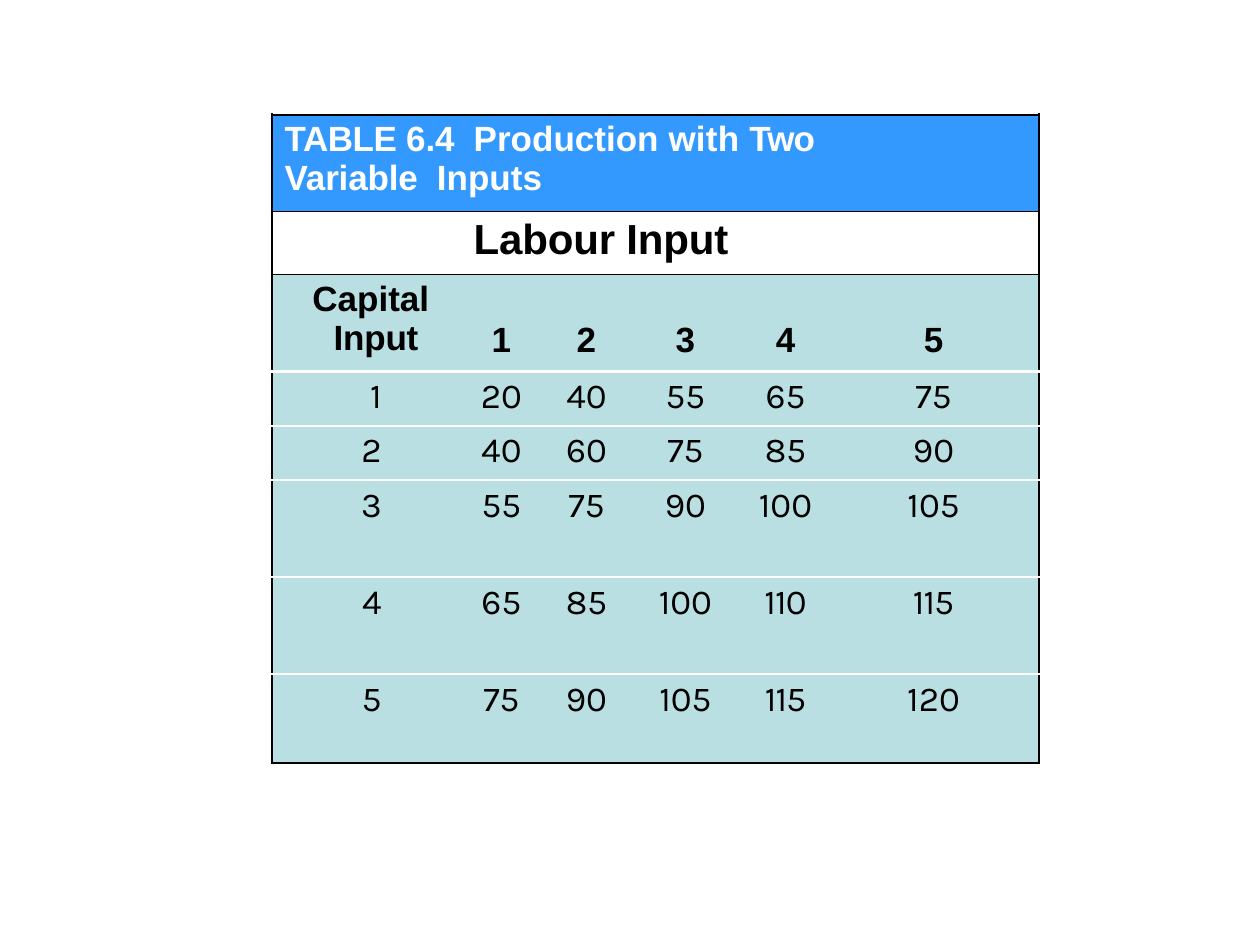
import pptx
import pptx.util
import pptx.dml.color
import pptx.enum.text
import pptx.oxml
import pptx.oxml.ns
from dataclasses import dataclass

Inches, Pt = pptx.util.Inches, pptx.util.Pt
ALIGN = pptx.enum.text.PP_ALIGN


@dataclass(frozen=True)
class Theme:
    head_font: str = "Arial"
    body_font: str = "Karla"
    text_size: int = 20
    band_size: int = 24
    ink: str = "000000"
    paper: str = "FFFFFF"
    title_fill: str = "3399FF"
    body_fill: str = "BADFE2"
    thin: float = 1
    rule: float = 1.5


class Deck:
    """Holds the theme and the current slide."""

    def __init__(self, theme, width, height):
        self.theme = theme
        self.prs = pptx.Presentation()
        self.prs.slide_width, self.prs.slide_height = Inches(width), Inches(height)
        self.s = self.prs.slides.add_slide(self.prs.slide_layouts[6])

    def table(self, left, top, widths, heights):
        frame = self.s.shapes.add_table(
            len(heights), len(widths), Inches(left), Inches(top),
            Inches(sum(widths)), Inches(sum(heights)))
        table = frame.table
        table.first_row = table.horz_banding = False
        for col, width in zip(table.columns, widths):
            col.width = Inches(width)
        for row, height in zip(table.rows, heights):
            row.height = Inches(height)
        return table

    def cell(self, cell, runs, fill, align=ALIGN.LEFT, indent=(0, 0, 0),
             tab=None, before=3, top=0.04, **font):
        """Write (text, letter spacing) runs; indent is left, right, first line."""
        margins = dict(margin_left=0, margin_right=0, margin_bottom=0,
                       margin_top=Inches(top))
        for name, value in margins.items():
            setattr(cell, name, value)
        cell.fill.solid()
        cell.fill.fore_color.rgb = pptx.dml.color.RGBColor.from_string(fill)

        p = cell.text_frame.paragraphs[0]
        p.alignment, p.space_before = align, Pt(before)
        pPr = p._p.get_or_add_pPr()
        for name, value in zip(("marL", "marR", "indent"), indent):
            pPr.set(name, str(Inches(value)))
        if tab:
            pPr.append(pptx.oxml.parse_xml(
                f'<a:tabLst {pptx.oxml.ns.nsdecls("a")}>'
                f'<a:tab pos="{Inches(tab)}" algn="l"/></a:tabLst>'))

        style = dict(name=self.theme.head_font, size=Pt(self.theme.text_size),
                     bold=True) | font
        color = style.pop("color", self.theme.ink)
        for text, spacing in runs:
            r = p.add_run()
            r.text = text
            for name, value in style.items():
                setattr(r.font, name, value)
            r.font.color.rgb = pptx.dml.color.RGBColor.from_string(color)
            r._r.get_or_add_rPr().set("spc", str(round(spacing * 100)))

    def borders(self, cell, **sides):
        """Each side L, R, T, B is (colour, points); a side left out has no line."""
        tcPr = cell._tc.get_or_add_tcPr()
        for i, side in enumerate("LRTB"):
            color, width = sides.get(side) or (None, 0)
            paint = (f'<a:solidFill><a:srgbClr val="{color}"/></a:solidFill>'
                     if color else "<a:noFill/>")
            tcPr.insert(i, pptx.oxml.parse_xml(
                f'<a:ln{side} {pptx.oxml.ns.nsdecls("a")} w="{Pt(width)}">'
                f'{paint}</a:ln{side}>'))


TITLE = [("TABLE ", -0.3), ("6.4\tProduction ", 0), ("with ", 0.1),
         ("Two ", -0.5), ("Variable  ", -0.1), ("Inputs", 0)]
LABOUR = [1, 2, 3, 4, 5]
OUTPUT = [
    [20, 40, 55, 65, 75],
    [40, 60, 75, 85, 90],
    [55, 75, 90, 100, 105],
    [65, 85, 100, 110, 115],
    [75, 90, 105, 115, 120],
]
WIDTHS = [1.47, 0.7, 0.69, 0.83, 0.98, 1.42]
HEIGHTS = [0.77, 0.5, 0.77, 0.43, 0.43, 0.77, 0.77, 0.71]
# Left and right paragraph indents of each column of figures
INDENTS = [(0, 0.6, 0), (0.03, 0.03, 0), (0, 0.04, 0),
           (0.04, 0.03, 0), (0, 0.21, 0), (0, 0.26, 0)]


def main():
    theme = Theme()
    deck = Deck(theme, 10, 7.5)
    table = deck.table(2.16, 0.91, WIDTHS, HEIGHTS)
    last_row, last_col = len(HEIGHTS) - 1, len(WIDTHS) - 1

    # Title and labour band span the whole width
    for row in (0, 1):
        table.cell(row, 0).merge(table.cell(row, last_col))
    deck.cell(table.cell(0, 0), TITLE, theme.title_fill, indent=(0.1, 1.2, 0),
              tab=1.62, color=theme.paper)
    deck.cell(table.cell(1, 0), [("Labour Input", -0.1)], theme.paper,
              indent=(1.6, 0, 0), size=Pt(theme.band_size))

    # Column headings
    deck.cell(table.cell(2, 0), [("Capital  ", 0), ("Input", -0.1)],
              theme.body_fill, indent=(0.41, 0.2, -0.09))
    for col, labour in enumerate(LABOUR, 1):
        deck.cell(table.cell(2, col), [(str(labour), 0)], theme.body_fill,
                  ALIGN.CENTER, INDENTS[col], before=0, top=0.37)

    # Capital input and output figures
    for capital, outputs in enumerate(OUTPUT, 1):
        for col, value in enumerate([capital] + outputs):
            align = ALIGN.CENTER if col else ALIGN.RIGHT
            spacing = -0.5 if value in (110, 115) else 0
            deck.cell(table.cell(capital + 2, col), [(str(value), spacing)],
                      theme.body_fill, align, INDENTS[col],
                      name=theme.body_font, bold=False)

    # Black frame, black lines round the bands, white lines between rows
    frame, band, inner = ((theme.ink, theme.rule), (theme.ink, theme.thin),
                          (theme.paper, theme.rule))
    lines = [frame, band, band] + [inner] * (last_row - 2) + [frame]
    for row in range(last_row + 1):
        for col in range(last_col + 1):
            deck.borders(table.cell(row, col), T=lines[row], B=lines[row + 1],
                         L=frame if col == 0 else None,
                         R=frame if col == last_col or row < 2 and col == 0 else None)

    deck.prs.save("out.pptx")


if __name__ == "__main__":
    main()
